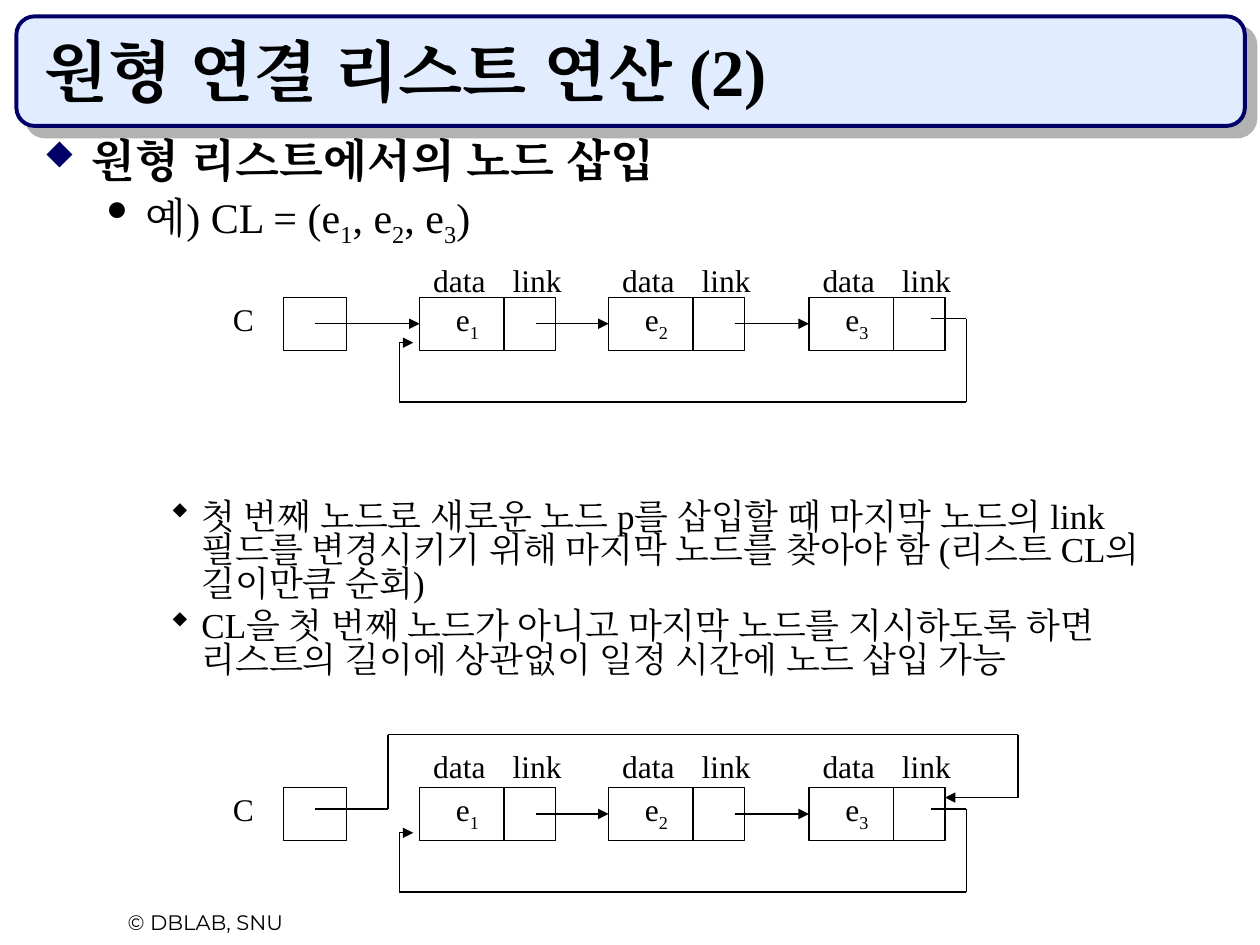
import pptx
import pptx.dml.color
import pptx.enum.shapes
import pptx.enum.text
import pptx.oxml
import pptx.oxml.ns
import pptx.util

Inches = pptx.util.Inches
Pt = pptx.util.Pt
RGBColor = pptx.dml.color.RGBColor
SHAPE = pptx.enum.shapes.MSO_SHAPE
ALIGN = pptx.enum.text.PP_ALIGN
NS = pptx.oxml.ns.nsdecls("a")

BLACK = RGBColor(0x00, 0x00, 0x00)
NAVY = RGBColor(0x00, 0x00, 0x66)
PALE_BLUE = RGBColor(0xE1, 0xEC, 0xFF)
SHADOW_GRAY = RGBColor(0xB2, 0xB2, 0xB2)

NODE_LEFTS = (3.33, 4.83, 6.42)
NODE_W, NODE_H = 1.08, 0.42
LINK_STARTS = (4.25, 5.83)


def append_xml(parent, xml):
    parent.append(pptx.oxml.parse_xml(xml))


class SlideBuilder:
    font_name = "Times New Roman"

    def __init__(self, prs):
        self.s = prs.slides.add_slide(prs.slide_layouts[5])
        self.target = self.s.shapes

    def start_group(self):
        self.target = self.s.shapes.add_group_shape().shapes

    def end_group(self):
        self.target = self.s.shapes

    def runs(self, p, text, **format_values):
        values = {"name": self.font_name, "bold": False, **format_values}
        color = values.pop("color", BLACK)
        for i, part in enumerate(text.split("|")):
            r = p.add_run()
            r.text = part
            for name, value in values.items():
                setattr(r.font, name, value)
            r.font.color.rgb = color
            rPr = r._r.get_or_add_rPr()
            append_xml(rPr, f'<a:ea {NS} typeface="{values["name"]}"/>')
            if i % 2:
                rPr.set("baseline", "-25000")

    def title(self, text):
        sp = self.s.shapes.title
        box = {"left": 0.25, "top": 0.25, "width": 9.42, "height": 0.67}
        for name, value in box.items():
            setattr(sp, name, Inches(value))
        tf = sp.text_frame
        tf.vertical_anchor = pptx.enum.text.MSO_ANCHOR.BOTTOM
        tf.auto_size = pptx.enum.text.MSO_AUTO_SIZE.NONE
        p = tf.paragraphs[0]
        p.alignment = ALIGN.LEFT
        self.runs(p, text, size=Pt(38), bold=True)

    def title_bar(self):
        sp = self.rect(0.13, 0.13, 9.75, 0.87, SHAPE.ROUNDED_RECTANGLE,
                       fill=PALE_BLUE, line=NAVY, weight=2.25)
        effects = sp._element.spPr.find(pptx.oxml.ns.qn("a:effectLst"))
        append_xml(effects, f'<a:outerShdw {NS} dist="107950" dir="2700000" algn="ctr" '
                            f'rotWithShape="0"><a:srgbClr val="{SHADOW_GRAY}"/></a:outerShdw>')
        sp._element.getparent().insert(2, sp._element)

    def rect(self, x, y, w, h, kind=SHAPE.RECTANGLE, fill=None, line=BLACK, weight=0.75):
        sp = self.target.add_shape(kind, Inches(x), Inches(y), Inches(w), Inches(h))
        sp.shadow.inherit = False
        if fill is None:
            sp.fill.background()
        else:
            sp.fill.solid()
            sp.fill.fore_color.rgb = fill
        sp.line.color.rgb = line
        sp.line.width = Pt(weight)
        return sp

    def line(self, start, end, arrow=False, to_left_of=None):
        c = self.target.add_connector(pptx.enum.shapes.MSO_CONNECTOR.STRAIGHT,
                                      *map(Inches, start + end))
        if to_left_of is not None:
            c.end_connect(to_left_of, 1)
        c.line.color.rgb = BLACK
        c.line.width = Pt(0.75)
        if arrow:
            append_xml(c.line._get_or_add_ln(), f'<a:tailEnd {NS} type="triangle"/>')
        append_xml(c._element.spPr, f"<a:effectLst {NS}/>")

    def route(self, points):
        last = len(points) - 2
        for i, (start, end) in enumerate(zip(points, points[1:])):
            self.line(start, end, arrow=i == last)

    def label(self, text, x, y, w, h=0.4, align=ALIGN.LEFT, size=18, **format_values):
        sp = self.target.add_textbox(Inches(x), Inches(y), Inches(w), Inches(h))
        sp.text_frame.word_wrap = False
        p = sp.text_frame.paragraphs[0]
        p.alignment = align
        self.runs(p, text, size=Pt(size), **format_values)

    def bullets(self, items, x, y, w, h):
        sp = self.target.add_textbox(Inches(x), Inches(y), Inches(w), Inches(h))
        tf = sp.text_frame
        tf.word_wrap = True
        for i, item in enumerate(items):
            p = tf.paragraphs[0] if i == 0 else tf.add_paragraph()
            pPr = p._p.get_or_add_pPr()
            pPr.set("marL", str(Inches(item["margin"])))
            pPr.set("indent", str(-Inches(item["hang"])))
            pPr.set("lvl", str(item["level"]))
            append_xml(pPr, f'<a:buClr {NS}><a:srgbClr val="{item["mark_color"]}"/></a:buClr>')
            append_xml(pPr, f'<a:buSzPct {NS} val="{item["mark_size"] * 1000}"/>')
            append_xml(pPr, f'<a:buFont {NS} typeface="Wingdings" charset="2"/>')
            append_xml(pPr, f'<a:buChar {NS} char="{item["mark"]}"/>')
            p.line_spacing = 0.8
            p.space_before = Pt(item["before"])
            self.runs(p, item["text"], size=Pt(item["size"]), bold=item["level"] == 0)

    def circular_list(self, top, label_top, pointer_to_last):
        self.start_group()
        middle = top + NODE_H / 2
        out_y, back_y, low_y = top + 0.17, top + 0.36, top + 0.83
        nodes = []
        for i, x in enumerate(NODE_LEFTS, 1):
            nodes.append(self.rect(x, top, NODE_W, NODE_H))
            self.line((x + 0.67, top), (x + 0.67, top + NODE_H))
            self.label(f"e|{i}|", x + 0.17, top - 0.03, 0.42, 0.44, ALIGN.CENTER)
        self.rect(2.25, top, 0.5, NODE_H)
        self.label("C", 1.75, top - 0.03, 0.36)
        for x, node, left in zip(LINK_STARTS, nodes[1:], NODE_LEFTS[1:]):
            self.line((x, middle), (left, middle), arrow=True, to_left_of=node)
        self.route([(7.39, out_y), (7.67, out_y), (7.67, low_y),
                    (3.17, low_y), (3.17, back_y), (3.28, back_y)])
        if pointer_to_last:
            high_y, in_y = top - 0.42, top + 0.08
            self.route([(2.5, out_y), (3.08, out_y), (3.08, high_y),
                        (8.08, high_y), (8.08, in_y), (7.5, in_y)])
        else:
            self.line((2.5, middle), (NODE_LEFTS[0], middle), arrow=True, to_left_of=nodes[0])
        self.end_group()
        for x in NODE_LEFTS:
            self.label("data", x + 0.01, label_top, 0.64)
            self.label("link", x + 0.64, label_top, 0.6)


def main():
    prs = pptx.Presentation()
    prs.slide_width, prs.slide_height = Inches(10), Inches(7.5)
    b = SlideBuilder(prs)
    b.title("원형 연결 리스트 연산 (2)")
    b.title_bar()
    b.label("© DBLAB, SNU", 0.42, 7.17, 2.42, 0.3, ALIGN.CENTER, 12, name="Montserrat")

    heading = {"level": 0, "margin": 0.38, "hang": 0.38, "mark": "u", "mark_color": NAVY,
               "mark_size": 70, "size": 26, "before": 0}
    example = {"level": 1, "margin": 0.81, "hang": 0.31, "mark": "l", "mark_color": BLACK,
               "mark_size": 65, "size": 24, "before": 6}
    detail = {"level": 2, "margin": 1.25, "hang": 0.25, "mark": "w", "mark_color": BLACK,
              "mark_size": 100, "size": 20, "before": 5}
    b.bullets([
        {**heading, "text": "원형 리스트에서의 노드 삽입"},
        {**example, "text": "예) CL = (e|1|, e|2|, e|3|)"},
        {**detail, "before": 148.5,
         "text": "첫 번째 노드로 새로운 노드 p를 삽입할 때 마지막 노드의 link 필드를 "
                 "변경시키기 위해 마지막 노드를 찾아야 함 (리스트 CL의 길이만큼 순회)"},
        {**detail, "text": "CL을 첫 번째 노드가 아니고 마지막 노드를 지시하도록 하면 "
                           "리스트의 길이에 상관없이 일정 시간에 노드 삽입 가능"},
    ], 0.25, 1.08, 9.42, 5.83)

    b.circular_list(2.36, 2.02, pointer_to_last=False)
    b.circular_list(6.25, 5.88, pointer_to_last=True)
    prs.save("out.pptx")


if __name__ == "__main__":
    main()
